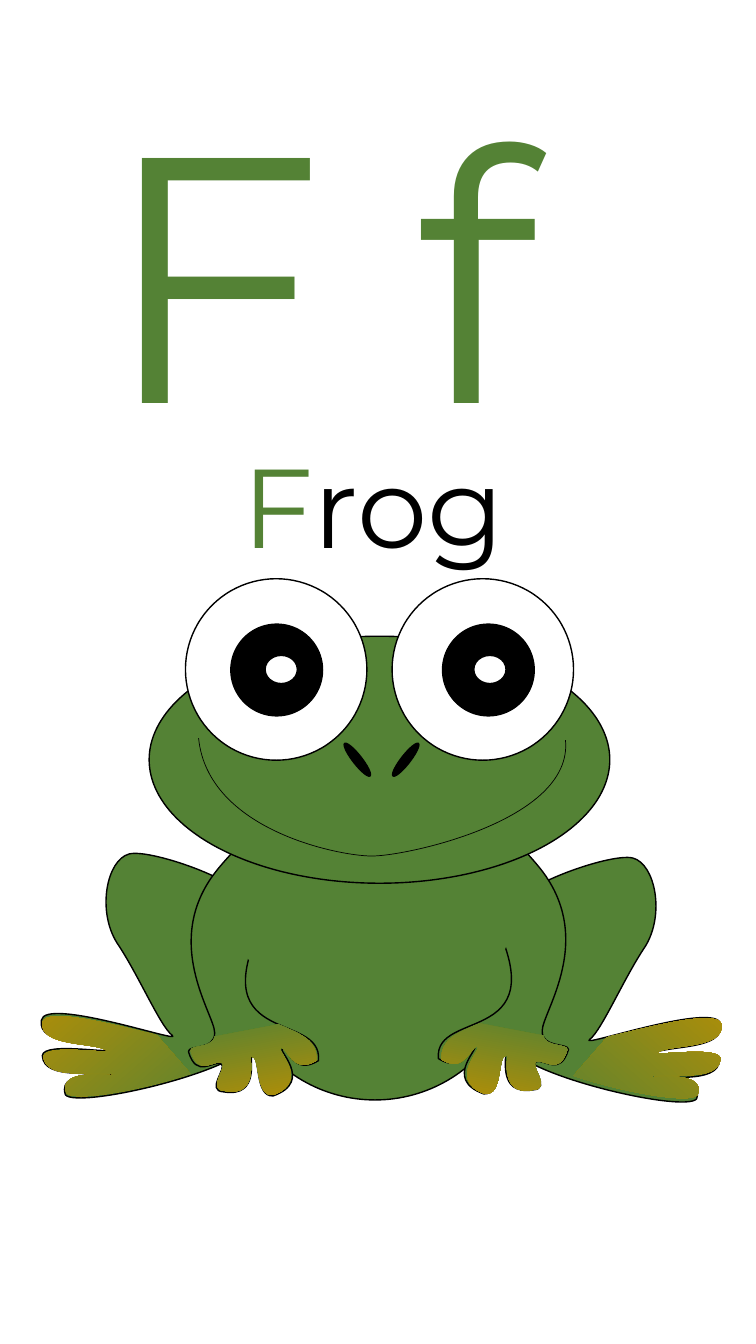
from dataclasses import dataclass
from math import cos, radians, sin

from lxml.etree import SubElement
from pptx import Presentation
from pptx.dml.color import RGBColor
from pptx.enum.shapes import MSO_SHAPE as Preset
from pptx.enum.text import MSO_AUTO_SIZE as AutoSize
from pptx.oxml.ns import qn
from pptx.util import Inches, Pt

COLUMNS, ROWS = 750, 1333


@dataclass(frozen=True)
class Theme:
    green: str = "548235"
    gold: str = "BF9000"
    black: str = "000000"
    white: str = "FFFFFF"
    font: str = "Montserrat"
    letter_size: int = 250
    word_size: int = 80
    outline: float = 1
    thin: float = 0.5


def turn(point, degrees):
    x, y = point
    c, s = cos(radians(degrees)), sin(radians(degrees))
    return x * c - y * s, x * s + y * c


def mirror(outline, axis_sum, drop):
    return [
        tuple(axis_sum - v if i % 2 == 0 else v + drop for i, v in enumerate(step))
        for step in outline
    ]


def bend(shape, outline):
    corners = iter(list(shape.element.iter(qn("a:lnTo"))))
    for step in outline[1:]:
        first = next(corners)
        if len(step) == 6:
            drawing = first.getparent()
            bezier = SubElement(drawing, qn("a:cubicBezTo"))
            drawing.replace(first, bezier)
            bezier.append(first[0])
            for corner in (next(corners), next(corners)):
                bezier.append(corner[0])
                drawing.remove(corner)


class Card:
    def __init__(self, deck, theme):
        self.theme = theme
        self.slide = deck.slides.add_slide(deck.slide_layouts[6])
        self.column = deck.slide_width / COLUMNS
        self.row = deck.slide_height / ROWS

    def cells(self, x, y):
        return round(x * self.column), round(y * self.row)

    def paint(self, shape, fill, line):
        shape.shadow.inherit = False
        if fill is None:
            shape.fill.background()
        elif isinstance(fill, str):
            shape.fill.solid()
            shape.fill.fore_color.rgb = RGBColor.from_string(fill)
        else:
            shape.fill.gradient()
            shape.fill.gradient_angle = 270
            for stop, colour in zip(shape.fill.gradient_stops, fill):
                stop.color.rgb = RGBColor.from_string(colour)
        if line:
            shape.line.color.rgb = RGBColor.from_string(self.theme.black)
            shape.line.width = Pt(line)
        else:
            shape.line.fill.background()

    def text(self, left, top, width, height, size, runs):
        box = self.slide.shapes.add_textbox(
            *self.cells(left, top), *self.cells(width, height))
        frame = box.text_frame
        frame.word_wrap = True
        frame.auto_size = AutoSize.SHAPE_TO_FIT_TEXT
        for words, colour in runs:
            run = frame.paragraphs[0].add_run()
            run.text = words
            run.font.size = Pt(size)
            run.font.name = self.theme.font
            run.font.color.rgb = RGBColor.from_string(colour)

    def oval(self, left, top, width, height, fill, line=Theme.outline, rotation=0):
        oval = self.slide.shapes.add_shape(
            Preset.OVAL, *self.cells(left, top), *self.cells(width, height))
        oval.rotation = rotation
        self.paint(oval, fill, line)

    def curve(self, outline, fill, line=Theme.outline, rotation=0, closed=True):
        points = [
            self.cells(*turn(step[i:i + 2], -rotation))
            for step in outline for i in range(0, len(step), 2)
        ]
        builder = self.slide.shapes.build_freeform(*points[0], scale=1.0)
        builder.add_line_segments(points[1:], close=closed)
        shape = builder.convert_to_shape()
        bend(shape, outline)
        half_width, half_height = shape.width / 2, shape.height / 2
        x, y = turn((shape.left + half_width, shape.top + half_height), rotation)
        shape.left, shape.top = round(x - half_width), round(y - half_height)
        shape.rotation = rotation
        self.paint(shape, fill, line)

    def curve_pair(self, outline, axis_sum, drop, fill, line=Theme.outline, rotation=0):
        self.curve(outline, fill, line, rotation % 360)
        self.curve(mirror(outline, axis_sum, drop), fill, line, -rotation % 360)


LEG = [
    (116, 935), (96, 903, 106, 853, 128, 847), (150, 841, 256, 879, 247, 900),
    (238, 920, 260, 1004, 250, 1033), (240, 1062, 78, 1100, 65, 1086),
    (54, 1055, 132, 1070, 116, 1066), (100, 1061, 43, 1073, 42, 1047),
    (43, 1032, 120, 1047, 106, 1040), (91, 1033, 37, 1037, 41, 1012),
    (44, 988, 183, 1036, 171, 1027), (159, 1018, 137, 966, 116, 935),
]
ARM = [
    (217, 861), (277, 789, 324, 791, 332, 798), (341, 805, 270, 859, 268, 901),
    (191, 1043, 321, 1000, 316, 1052), (292, 1067, 286, 1040, 281, 1040),
    (272, 1039, 313, 1072, 271, 1087), (252, 1088, 259, 1046, 250, 1048),
    (247, 1047, 259, 1089, 222, 1083), (203, 1082, 227, 1058, 219, 1055),
    (211, 1052, 195, 1070, 187, 1043), (187, 1036, 214, 1042, 213, 1024),
    (213, 1006, 158, 932, 217, 861),
]
FOOT = [
    (56, 1008), (48, 1008, 43, 1010, 42, 1014), (39, 1038, 91, 1034, 104, 1041),
    (118, 1047, 44, 1034, 43, 1048), (45, 1073, 99, 1061, 114, 1066),
    (130, 1070, 55, 1055, 66, 1084), (73, 1093, 137, 1082, 186, 1066),
    (189, 1065), (156, 1027), (153, 1026), (128, 1020, 79, 1007, 56, 1008),
]
HAND = [
    (276, 1016), (213, 1028), (213, 1029), (209, 1040, 189, 1036, 189, 1042),
    (197, 1069, 212, 1051, 220, 1054), (227, 1057, 204, 1081, 223, 1082),
    (258, 1089, 247, 1047, 249, 1048), (259, 1046, 252, 1088, 271, 1086),
    (310, 1072, 271, 1039, 279, 1039), (285, 1040, 291, 1066, 314, 1052),
    (315, 1032, 299, 1026, 281, 1018), (276, 1016),
]
SMILE = [
    (561, 734), (569, 815, 398, 850, 368, 849), (338, 849, 206, 824, 197, 732),
]


def main():
    deck = Presentation()
    deck.slide_width, deck.slide_height = Inches(7.5), Inches(13.33)
    theme = Theme()
    card = Card(deck, theme)

    card.text(92, 48, 647, 431, theme.letter_size, [("F f", theme.green)])
    card.text(231, 428, 352, 145, theme.word_size,
              [("F", theme.green), ("rog", theme.black)])

    card.curve_pair(LEG, 756, 4, theme.green, rotation=-22.6)
    card.oval(228, 801, 288, 290, theme.green)
    card.curve_pair(ARM, 751, -2, theme.green)
    card.curve_pair(FOOT, 758, 2, (theme.gold, theme.green), None, -41.1)
    card.curve_pair(HAND, 752, -1, (theme.green, theme.gold), None, -10.8)
    for left, top, tilt in ((436, 856, 12.3), (227, 847, 347.7)):
        card.oval(left, top, 72, 118, theme.green, None, tilt)

    card.oval(148, 631, 457, 245, theme.green)
    for eye_left in (389, 184):
        card.oval(eye_left, 574, 180, 180, theme.white)
    for nostril_left, tilt in ((334, 52), (382, 308)):
        card.oval(nostril_left, 749, 41, 9, theme.black, rotation=tilt)
    card.curve(SMILE, None, theme.thin, closed=False)
    for pupil_left, glint_left in ((229, 263), (439, 470)):
        card.oval(pupil_left, 619, 91, 91, theme.black)
        card.oval(glint_left, 650, 32, 28, theme.white)

    deck.save("out.pptx")


if __name__ == "__main__":
    main()
